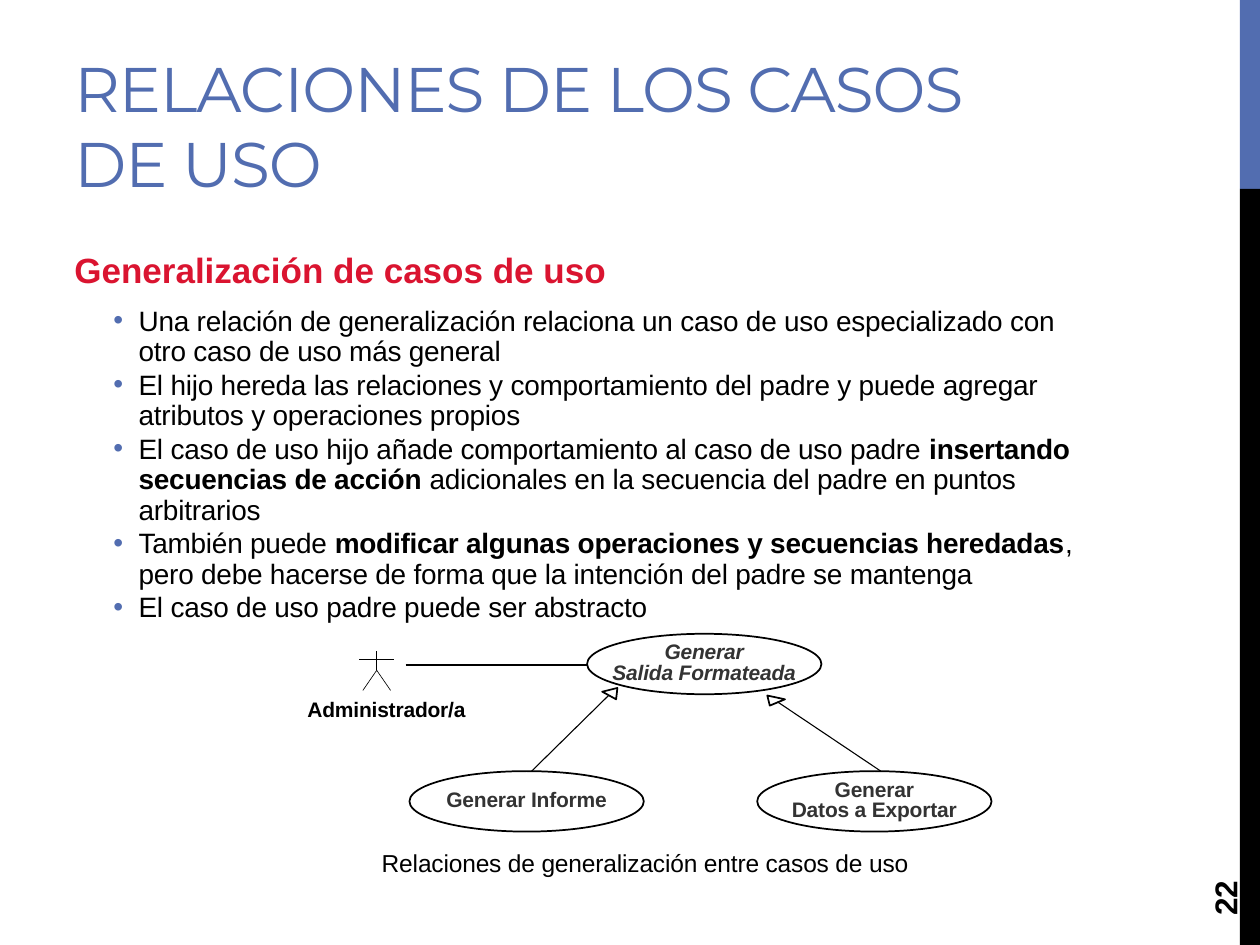
from lxml.etree import SubElement
from pptx import Presentation
from pptx.dml.color import RGBColor
from pptx.enum.shapes import MSO_CONNECTOR, MSO_SHAPE
from pptx.enum.text import MSO_ANCHOR as Anchor, MSO_AUTO_SIZE as AutoSize, PP_ALIGN as Align
from pptx.oxml.ns import qn
from pptx.util import Inches, Pt

COLORS = {"blue": "526DB0", "red": "DA1430", "black": "000000", "gray": "333333"}
BULLETS = [
    [("Una relación de generalización relaciona un caso de uso especializado con "
      "otro caso de uso más general", False)],
    [("El hijo hereda las relaciones y comportamiento del padre y puede agregar "
      "atributos y operaciones propios", False)],
    [("El caso de uso hijo añade comportamiento al caso de uso padre ", False),
     ("insertando secuencias de acción ", True),
     ("adicionales en la secuencia del padre en puntos arbitrarios", False)],
    [("También puede ", False),
     ("modificar algunas operaciones y secuencias heredadas", True),
     (", pero debe hacerse de forma que la intención del padre se mantenga", False)],
    [("El caso de uso padre puede ser abstracto", False)],
]


class UseCaseSlide:
    """Holds the slide and its style, with one method per kind of element."""

    def __init__(self, slide, font="Arial"):
        self.slide = slide
        self.shapes = slide.shapes
        self.font = font

    def color(self, name):
        return RGBColor.from_string(COLORS[name])

    def run(self, paragraph, text, size, color="black", bold=False, italic=False,
            font=None, spacing=-0.1):
        run = paragraph.add_run()
        run.text = text
        run.font.name = font or self.font
        run.font.size = Pt(size)
        run.font.bold = bold
        run.font.italic = italic
        run.font.color.rgb = self.color(color)
        run._r.get_or_add_rPr().set("spc", str(round(spacing * 100)))

    def lines(self, paragraph, text, size, **style):
        for index, line in enumerate(text.split("\n")):
            if index:
                paragraph.add_line_break()
            self.run(paragraph, line, size, **style)

    def frame(self, shape, top=0.0, anchor=Anchor.TOP, wrap=True):
        frame = shape.text_frame
        frame.margin_left = frame.margin_right = frame.margin_bottom = 0
        frame.margin_top = Inches(top)
        frame.vertical_anchor = anchor
        frame.word_wrap = wrap
        frame.auto_size = AutoSize.NONE
        return frame

    def place(self, shape, left, top, width, height):
        shape.left, shape.top = Inches(left), Inches(top)
        shape.width, shape.height = Inches(width), Inches(height)

    def title(self, text, *box):
        heading = self.shapes.title
        self.place(heading, *box)
        paragraph = self.frame(heading, 0.02).paragraphs[0]
        paragraph.alignment = Align.LEFT
        self.lines(paragraph, text, 36, color="blue", font="Montserrat", spacing=-0.55)

    def body(self, heading, bullets, *box):
        content = self.slide.placeholders[1]
        self.place(content, *box)
        frame = self.frame(content, 0.19)
        lead = frame.paragraphs[0]
        lead.space_before = Pt(0)
        props = lead._p.get_or_add_pPr()
        props.set("marL", "0")
        props.set("indent", "0")
        SubElement(props, qn("a:buNone"))
        self.run(lead, heading, 20, color="red", bold=True, spacing=0)
        for index, parts in enumerate(bullets):
            self.bullet(frame.add_paragraph(), parts, 2 if index else 9.5)

    def bullet(self, paragraph, parts, before):
        paragraph.line_spacing = Pt(17.3)
        paragraph.space_before = Pt(before)
        props = paragraph._p.get_or_add_pPr()
        props.set("marL", str(Inches(0.51)))
        props.set("indent", str(Inches(-0.2)))
        SubElement(SubElement(props, qn("a:buClr")), qn("a:srgbClr"), val=COLORS["blue"])
        SubElement(props, qn("a:buChar"), char="•")
        for text, bold in parts:
            self.run(paragraph, text, 16, bold=bold)

    def label(self, text, size, *box, bold=False, vertical=None):
        holder = self.shapes.add_textbox(*map(Inches, box))
        frame = self.frame(holder)
        if vertical:
            frame._txBody.bodyPr.set("vert", vertical)
        self.run(frame.paragraphs[0], text, size, bold=bold)

    def band(self, color, *box):
        band = self.shapes.add_shape(MSO_SHAPE.RECTANGLE, *map(Inches, box))
        band.shadow.inherit = False
        band.fill.solid()
        band.fill.fore_color.rgb = self.color(color)
        band.line.fill.background()

    def outline(self, shape, weight=1.0):
        shape.shadow.inherit = False
        shape.fill.background()
        shape.line.color.rgb = self.color("black")
        shape.line.width = Pt(weight)

    def use_case(self, text, left, top, italic=False):
        oval = self.shapes.add_shape(
            MSO_SHAPE.OVAL, *map(Inches, (left, top, 1.86, 0.48)))
        self.outline(oval)
        paragraph = self.frame(oval, anchor=Anchor.MIDDLE, wrap=False).paragraphs[0]
        paragraph.alignment = Align.CENTER
        paragraph.line_spacing = Pt(11.7)
        self.lines(paragraph, text, 12, color="gray", bold=True, italic=italic)

    def line(self, start, end, weight):
        line = self.shapes.add_connector(
            MSO_CONNECTOR.STRAIGHT, *map(Inches, (*start, *end)))
        line.line.color.rgb = self.color("black")
        line.line.width = Pt(weight)
        SubElement(line._element.spPr, qn("a:effectLst"))

    def polygon(self, points, weight, close):
        first, *rest = [(Inches(x), Inches(y)) for x, y in points]
        builder = self.shapes.build_freeform(*first)
        builder.add_line_segments(rest, close=close)
        self.outline(builder.convert_to_shape(), weight)

    def actor(self, name, x, top):
        hip = top + 0.15
        self.line((x - 0.14, top + 0.06), (x + 0.14, top + 0.06), 0.38)
        self.line((x, top), (x, hip), 0.38)
        self.polygon([(x - 0.11, hip + 0.16), (x, hip), (x + 0.11, hip + 0.16)], 0.38, False)
        self.label(name, 12, x - 0.55, top + 0.36, 1.4, 0.2, bold=True)

    def generalization(self, child, parent, head):
        self.line(child, parent, 0.63)
        self.polygon(head, 1, True)


def main():
    deck = Presentation()
    deck.slide_width, deck.slide_height = Inches(10), Inches(7.5)
    page = UseCaseSlide(deck.slides.add_slide(deck.slide_layouts[1]))

    page.band("blue", 9.84, 0, 0.16, 1.5)
    page.band("black", 9.84, 1.5, 0.16, 6)
    page.title("RELACIONES DE LOS CASOS\nDE USO", 0.59, 0.37, 7.72, 1.23)
    page.body("Generalización de casos de uso", BULLETS, 0.59, 1.78, 8.06, 3.2)

    page.actor("Administrador/a", 2.99, 5.17)
    page.line((3.22, 5.28), (4.66, 5.28), 1)
    page.use_case("Generar\nSalida Formateada", 4.66, 5.03, italic=True)
    page.use_case("Generar Informe", 3.25, 6.12)
    page.use_case("Generar\nDatos a Exportar", 6.01, 6.12)
    page.generalization((4.22, 6.12), (4.83, 5.52),
                        [(4.78, 5.49), (4.89, 5.55), (4.9, 5.46)])
    page.generalization((6.99, 6.12), (6.17, 5.57),
                        [(6.11, 5.6), (6.23, 5.55), (6.09, 5.52)])

    page.label("Relaciones de generalización entre casos de uso", 14, 3.03, 6.73, 4.4, 0.25)
    page.label("22", 18, 9.57, 6.96, 0.31, 0.31, bold=True, vertical="vert270")
    deck.save("out.pptx")


if __name__ == "__main__":
    main()
